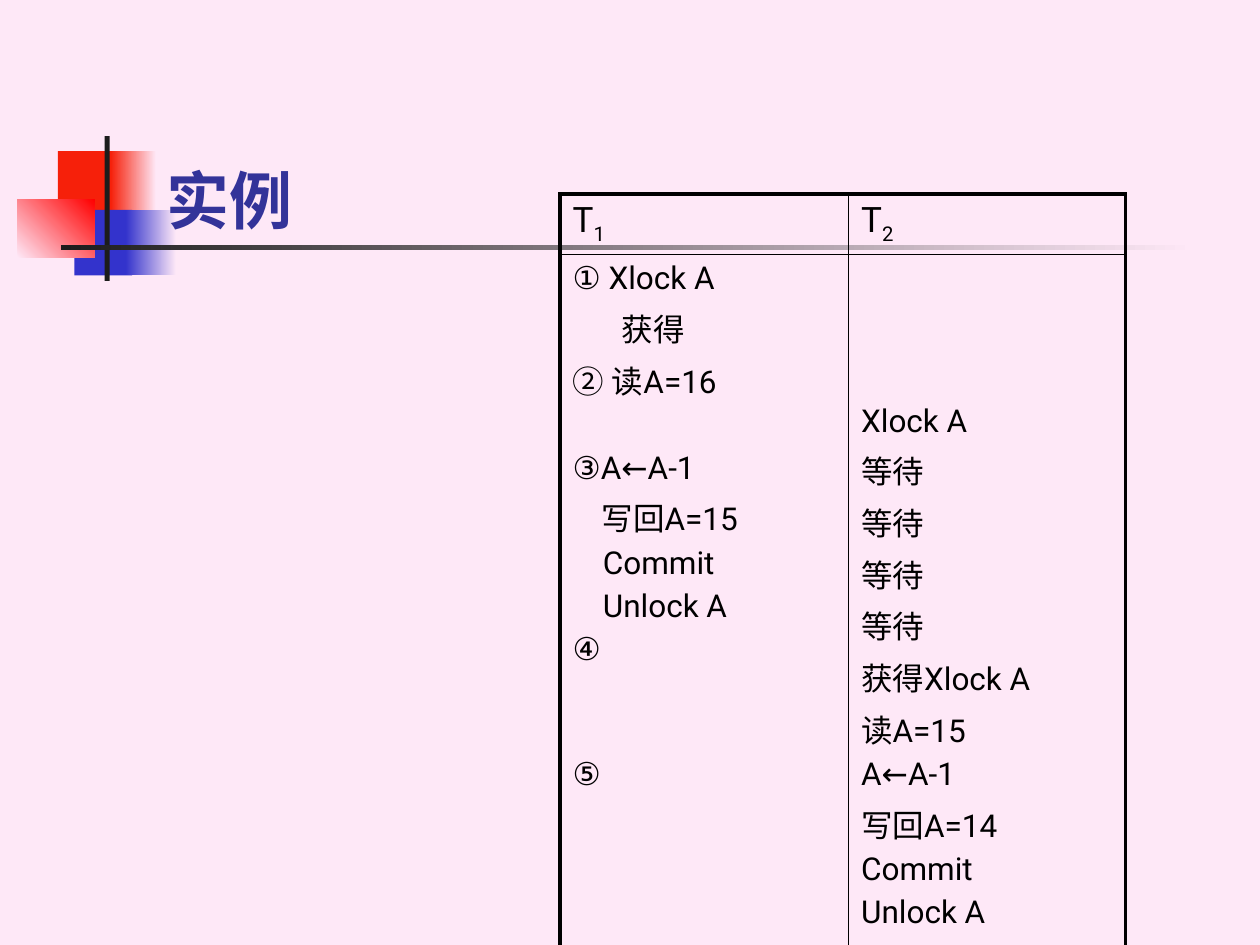
from lxml.etree import SubElement
from pptx import Presentation
from pptx.dml.color import RGBColor
from pptx.enum.shapes import MSO_SHAPE as Preset
from pptx.enum.text import MSO_ANCHOR as Anchor, PP_ALIGN as Align
from pptx.oxml.ns import qn
from pptx.util import Inches, Pt

PINK = RGBColor(0xFE, 0xE8, 0xF7)
ORANGE_RED = RGBColor(0xF6, 0x20, 0x0A)
RED = RGBColor(0xFF, 0x00, 0x00)
BLUE = RGBColor(0x33, 0x33, 0xCC)
NAVY = RGBColor(0x33, 0x33, 0x99)
CHARCOAL = RGBColor(0x1C, 0x1C, 0x1C)
BLACK = RGBColor(0x00, 0x00, 0x00)
FONT = "Roboto"
OUTER, INNER = Pt(2.25), Pt(1)
LATIN_GAP, CHINESE_GAP = 3.6, 8.4

deck = Presentation()
deck.slide_width, deck.slide_height = Inches(10), Inches(7.5)
COLUMN, ROW = deck.slide_width / 100, deck.slide_height / 75
slide = deck.slides.add_slide(deck.slide_layouts[6])
slide.background.fill.solid()
slide.background.fill.fore_color.rgb = PINK


def place(left, top, width, height):
    return [int(left * COLUMN), int(top * ROW), int(width * COLUMN), int(height * ROW)]


def write(paragraph, text, size=18, color=BLACK, bold=False, baseline=0):
    run = paragraph.add_run()
    run.text = text
    run.font.size, run.font.bold, run.font.name = Pt(size), bold, FONT
    run.font.color.rgb = color
    properties = run._r.get_or_add_rPr()
    SubElement(properties, qn("a:ea"), typeface=FONT)
    if baseline:
        properties.set("baseline", str(baseline))


ornament = [
    ((4.6, 12, 4.8, 5.2), ORANGE_RED, None, 0),
    ((8.8, 12, 3.6, 5.2), ORANGE_RED, PINK, 0),
    ((5.9, 16.65, 4.6, 5.2), BLUE, None, 0),
    ((10, 16.65, 4, 5.2), BLUE, PINK, 0),
    ((1.4, 15.8, 6.1, 4.65), PINK, RED, 45),
    ((8.3, 10.8, 0.4, 11.5), CHARCOAL, None, 0),
    ((4.85, 19.45, 90, 0.4), CHARCOAL, PINK, 0),
]
for area, start, end, angle in ornament:
    block = slide.shapes.add_shape(Preset.RECTANGLE, *place(*area))
    block.shadow.inherit = False
    block.line.fill.background()
    if end is None:
        block.fill.solid()
        block.fill.fore_color.rgb = start
    else:
        block.fill.gradient()
        block.fill.gradient_angle = angle
        for stop, color in zip(block.fill.gradient_stops, (start, end)):
            stop.color.rgb = color

title = slide.shapes.add_textbox(*place(12.2, 6.8, 85.2, 12.5)).text_frame
title.word_wrap = True
title.vertical_anchor = Anchor.BOTTOM
write(title.paragraphs[0], "实例", size=36, color=NAVY, bold=True)

schedule = slide.shapes.add_table(2, 2, *place(44.45, 15.4, 44.9, 58.8)).table
schedule.first_row = schedule.horz_banding = False
for column, width in zip(schedule.columns, (22.9, 22)):
    column.width = int(width * COLUMN)
for row, height in zip(schedule.rows, (4.4, 54.4)):
    row.height = int(height * ROW)

for r in range(2):
    for c in range(2):
        cell = schedule.cell(r, c)
        cell.margin_left = cell.margin_right = Inches(0.1)
        cell.margin_top = cell.margin_bottom = Inches(0.05)
        edges = {"L": c == 0, "R": c == 1, "T": r == 0, "B": r == 1}
        for side, is_outer in edges.items():
            border = SubElement(cell._tc.get_or_add_tcPr(), qn(f"a:ln{side}"),
                                w=str(OUTER if is_outer else INNER))
            ink = SubElement(border, qn("a:solidFill"))
            SubElement(ink, qn("a:srgbClr"), val=str(BLACK))
        cell.fill.background()

for c, number in enumerate("12"):
    heading = schedule.cell(0, c).text_frame.paragraphs[0]
    write(heading, "T", size=20)
    write(heading, number, size=20, baseline=-25000)

first_steps = [
    ("① Xlock A", 0, None),
    ("获得", 0.39, None),
    ("② 读A=16", 0, None),
    ("③A←A-1", 0, 28),
    ("写回A=15", 0.23, None),
    ("Commit", 0.24, None),
    ("Unlock A", 0.24, None),
    ("④", 0, None),
    ("⑤", 0, 50),
]
second_steps = [(text, 0, None) for text in (
    "Xlock A", "等待", "等待", "等待", "等待", "获得Xlock A",
    "读A=15", "A←A-1", "写回A=14", "Commit", "Unlock A")]
schedule.cell(1, 1).margin_top = Inches(1.18)

for c, steps in enumerate((first_steps, second_steps)):
    frame = schedule.cell(1, c).text_frame
    for i, (text, indent, pause) in enumerate(steps):
        step = frame.add_paragraph() if i else frame.paragraphs[0]
        step.alignment = Align.JUSTIFY
        if i:
            is_chinese = any("一" <= letter <= "龥" for letter in text)
            step.space_before = Pt(pause or (CHINESE_GAP if is_chinese else LATIN_GAP))
        layout = step._p.get_or_add_pPr()
        layout.set("marL", str(Inches(indent)))
        layout.set("indent", "0")
        write(step, text)

deck.save("out.pptx")
